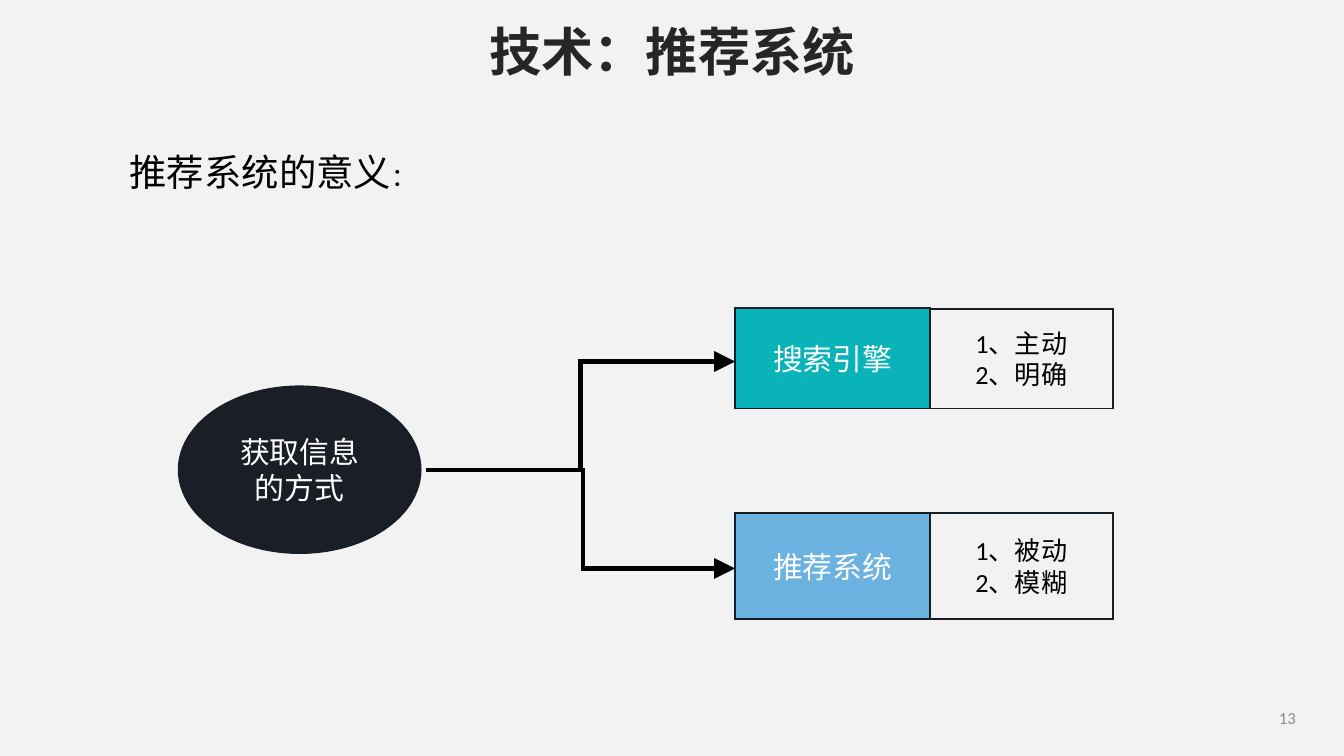
from pptx import Presentation
from pptx.dml.color import RGBColor
from pptx.enum.shapes import MSO_CONNECTOR as Connector, MSO_SHAPE as Shape
from pptx.enum.text import MSO_ANCHOR as Anchor, MSO_AUTO_SIZE as AutoSize, PP_ALIGN as Align
from pptx.oxml.ns import qn
from pptx.util import Emu, Pt
from lxml.etree import SubElement

EMU_PER_PX = 4572  # 200 px to the inch
BODY_FONT = "Calibri"
CJK_FONT = "Noto Sans CJK SC"
PAPER, OUTLINE, BLACK, WHITE = "F2F2F2", "181E26", "000000", "FFFFFF"
BRANCH_LEFT, LABEL_WIDTH, TRAITS_WIDTH = 1094, 290, 272


def px(*lengths):
    return [Emu(length * EMU_PER_PX) for length in lengths]


def rgb(color):
    return RGBColor.from_string(color)


def format_run(run, size, color, font=BODY_FONT, bold=False):
    run.font.size = Pt(size)
    run.font.name = font
    run.font.bold = bold
    run.font.color.rgb = rgb(color)
    # The East Asian typeface has to follow the Latin one.
    run.font._element.find(qn("a:latin")).addnext(
        SubElement(run.font._element, qn("a:ea"), typeface=CJK_FONT))


def write(frame, text, size, color, align=Align.CENTER, anchor=Anchor.MIDDLE,
          wrap=True, **style):
    frame.text = text
    frame.word_wrap = wrap
    frame.auto_size = AutoSize.NONE
    frame.vertical_anchor = anchor
    for paragraph in frame.paragraphs:
        paragraph.alignment = align
        for run in paragraph.runs:
            format_run(run, size, color, **style)


def add_title(slide, text):
    title = slide.shapes.title
    title.left, title.top, title.width, title.height = px(705, 19, 590, 114)
    write(title.text_frame, text, 28, "262626", anchor=Anchor.TOP, wrap=False,
          font=CJK_FONT, bold=True)
    title.text_frame.paragraphs[0].line_spacing = 1.0
    title.text_frame.paragraphs[0].space_before = Pt(0)


def add_label(slide, box, text, size, color, **layout):
    frame = slide.shapes.add_textbox(*px(*box)).text_frame
    write(frame, text, size, color, **layout)
    return frame


def draw_line(line, color, width):
    """Colour a line and give it sharp corners; return its XML element."""
    line.color.rgb = rgb(color)
    line.width = Pt(width)
    line_xml = line._get_or_add_ln()
    SubElement(line_xml, qn("a:miter"), lim="800000")
    return line_xml


def add_node(slide, kind, box, text, size, fill, color=WHITE):
    node = slide.shapes.add_shape(kind, *px(*box))
    node.shadow.inherit = False
    node.fill.solid()
    node.fill.fore_color.rgb = rgb(fill)
    draw_line(node.line, OUTLINE, 1)
    write(node.text_frame, text, size, color)


def add_elbow_arrow(slide, start, end):
    arrow = slide.shapes.add_connector(Connector.ELBOW, *px(*start, *end))
    line_xml = draw_line(arrow.line, BLACK, 2.25)
    SubElement(line_xml, qn("a:tailEnd"), type="triangle", w="lg", len="lg")
    SubElement(arrow._element.spPr, qn("a:effectLst"))


def add_branch(slide, label, fill, label_top, traits, traits_top, bottom):
    """Draw a filled label with its list of traits to the right."""
    add_node(slide, Shape.RECTANGLE,
             (BRANCH_LEFT, label_top, LABEL_WIDTH, bottom - label_top),
             label, 16, fill)
    add_node(slide, Shape.RECTANGLE,
             (BRANCH_LEFT + LABEL_WIDTH, traits_top, TRAITS_WIDTH, bottom - traits_top),
             traits, 14, PAPER, BLACK)


def main():
    deck = Presentation()
    deck.slide_width, deck.slide_height = px(2000, 1125)
    slide = deck.slides.add_slide(deck.slide_layouts[5])
    slide.background.fill.solid()
    slide.background.fill.fore_color.rgb = rgb(PAPER)

    add_title(slide, "技术：推荐系统")
    add_label(slide, (1498, 1038, 450, 60), "13", 9, "8C8C8C", align=Align.RIGHT)
    heading = add_label(slide, (173, 212, 470, 88), "推荐系统的意义", 20, BLACK,
                        align=Align.LEFT, anchor=Anchor.TOP, wrap=False)
    colon = heading.paragraphs[0].add_run()
    colon.text = "："
    format_run(colon, 13.5, BLACK)

    add_node(slide, Shape.OVAL, (266, 575, 360, 248), "获取信息的方式", 16, "191E27")
    add_branch(slide, "搜索引擎", "09B3B7", 458, "1、主动\n2、明确", 460, 608)
    add_branch(slide, "推荐系统", "6BB2E1", 764, "1、被动\n2、模糊", 764, 921)
    add_elbow_arrow(slide, (634, 700), (BRANCH_LEFT, 538))
    add_elbow_arrow(slide, (642, 700), (BRANCH_LEFT, 846))

    deck.save("out.pptx")


if __name__ == "__main__":
    main()
